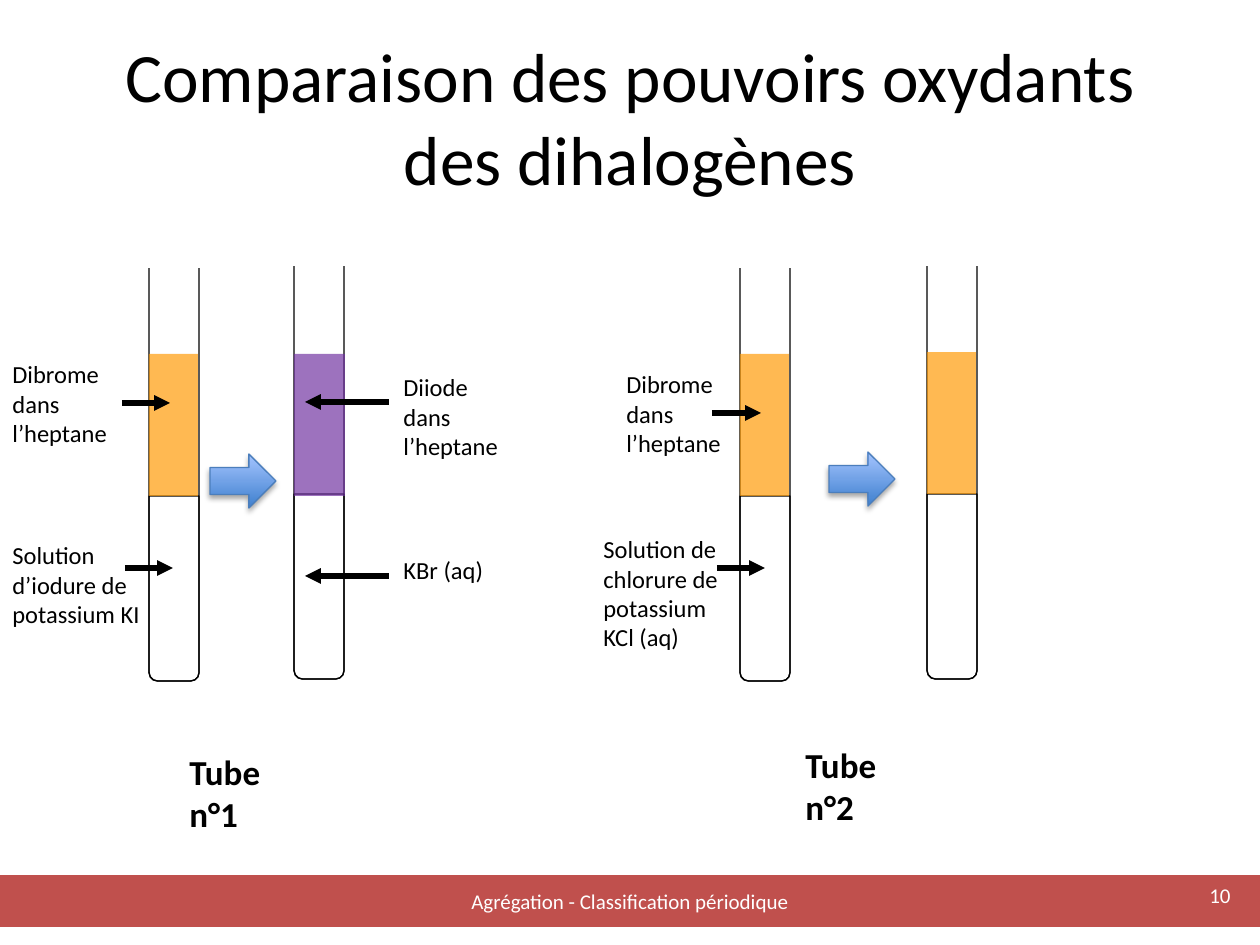
from dataclasses import dataclass

from lxml.etree import SubElement
from pptx import Presentation
from pptx.dml.color import RGBColor
from pptx.enum.shapes import MSO_CONNECTOR, MSO_SHAPE
from pptx.enum.text import MSO_ANCHOR, MSO_AUTO_SIZE, PP_ALIGN
from pptx.oxml.ns import qn
from pptx.util import Emu, Pt

PX_PER_INCH = 126


@dataclass(frozen=True)
class Theme:
    font: str = "Calibri"
    black: str = "000000"
    white: str = "FFFFFF"
    orange: str = "FF9900"
    violet: str = "7030A0"
    banner: str = "C0504D"
    arrow_dark: str = "3F80CE"
    arrow_light: str = "A4C4FF"
    arrow_edge: str = "4B7EBC"
    title_size: float = 39.6
    tube_name_size: int = 20
    label_size: int = 14
    footer_size: int = 12
    thin: float = 0.75
    thick: float = 3


THEME = Theme()


@dataclass(frozen=True)
class Tube:
    left: int
    top: int
    liquid_top: int
    liquid_width: int
    liquid_color: str


@dataclass(frozen=True)
class Label:
    text: str
    left: int
    top: int
    width: int
    height: int
    size: int = THEME.label_size
    bold: bool = False
    color: str = THEME.black
    wrap: bool = True


@dataclass(frozen=True)
class Pointer:
    start: int
    end: int
    y: int


TUBES = [
    Tube(149, 248, 354, 49, THEME.orange),
    Tube(294, 246, 354, 51, THEME.violet),
    Tube(740, 248, 354, 49, THEME.orange),
    Tube(927, 246, 352, 49, THEME.orange),
]
LABELS = [
    Label("Dibrome dans l’heptane", 0, 353, 122, 102),
    Label("Solution d’iodure de potassium KI", 0, 534, 166, 102),
    Label("Diiode dans l’heptane", 391, 366, 122, 102),
    Label("KBr (aq)", 391, 549, 122, 43),
    Label("Dibrome dans l’heptane", 614, 363, 125, 102),
    Label("Solution de chlorure de potassium KCl (aq)", 591, 528, 150, 131),
    Label("Tube n°1", 177, 744, 127, 97, THEME.tube_name_size, True),
    Label("Tube n°2", 793, 737, 127, 97, THEME.tube_name_size, True),
]
POINTERS = [
    Pointer(122, 170, 403),
    Pointer(125, 173, 568),
    Pointer(389, 305, 402),
    Pointer(389, 305, 576),
    Pointer(712, 761, 413),
    Pointer(717, 765, 568),
]
REACTION_ARROWS = [(210, 454), (829, 452)]


def px(length: int) -> Emu:
    return Emu(round(length * 914400 / PX_PER_INCH))


def rgb(color: str) -> RGBColor:
    return RGBColor.from_string(color)


def add_box(shapes, preset, left: int, top: int, width: int, height: int,
            fill: str | None = None, line: str | None = None):
    box = shapes.add_shape(preset, px(left), px(top), px(width), px(height))
    box.shadow.inherit = False
    if fill:
        box.fill.solid()
        box.fill.fore_color.rgb = rgb(fill)
    else:
        box.fill.background()
    if line:
        box.line.color.rgb = rgb(line)
        box.line.width = Pt(THEME.thin)
    else:
        box.line.fill.background()
    return box


def style(paragraph, size: float, color: str, bold: bool = False) -> None:
    font = paragraph.font
    font.name = THEME.font
    font.size = Pt(size)
    font.bold = bold
    font.color.rgb = rgb(color)


def draw_tube(shapes, tube: Tube) -> None:
    glass = shapes.add_group_shape().shapes
    # Whole tube, then its lower aqueous phase: both end at the same bottom
    for offset, height in ((0, 433), (248, 185)):
        outline = add_box(glass, MSO_SHAPE.ROUND_2_SAME_RECTANGLE, tube.left,
                          tube.top + offset, 50, height, line=THEME.black)
        outline.rotation = 180
    # White cover leaves the tube open at the top
    add_box(glass, MSO_SHAPE.RECTANGLE, tube.left - 25, tube.top - 12, 101, 31,
            THEME.white, THEME.white)
    liquid = add_box(shapes, MSO_SHAPE.RECTANGLE, tube.left, tube.liquid_top,
                     tube.liquid_width, 142, tube.liquid_color)
    color = liquid.fill._xPr.find(f"{qn('a:solidFill')}/{qn('a:srgbClr')}")
    SubElement(color, qn("a:alpha"), val="68000")


def draw_label(shapes, label: Label) -> None:
    box = shapes.add_textbox(px(label.left), px(label.top),
                             px(label.width), px(label.height))
    frame = box.text_frame
    frame.word_wrap = label.wrap
    frame.auto_size = MSO_AUTO_SIZE.SHAPE_TO_FIT_TEXT
    frame.text = label.text
    style(frame.paragraphs[0], label.size, label.color, label.bold)


def draw_pointer(shapes, pointer: Pointer) -> None:
    line = shapes.add_connector(MSO_CONNECTOR.STRAIGHT, px(pointer.start), px(pointer.y),
                                px(pointer.end), px(pointer.y))
    line.line.color.rgb = rgb(THEME.black)
    line.line.width = Pt(THEME.thick)
    SubElement(line.line._get_or_add_ln(), qn("a:tailEnd"), type="triangle")
    SubElement(line._element.spPr, qn("a:effectLst"))


def draw_reaction_arrow(shapes, left: int, top: int) -> None:
    arrow = add_box(shapes, MSO_SHAPE.RIGHT_ARROW, left, top, 66, 54, line=THEME.arrow_edge)
    arrow.fill.gradient()
    arrow.fill.gradient_angle = 90
    for stop, color in zip(arrow.fill.gradient_stops, (THEME.arrow_dark, THEME.arrow_light)):
        stop.color.rgb = rgb(color)
    effects = arrow._element.spPr.find(qn("a:effectLst"))
    shadow = SubElement(effects, qn("a:outerShdw"), blurRad=str(Pt(3.1)),
                        dist=str(Pt(1.8)), dir="5400000", rotWithShape="0")
    color = SubElement(shadow, qn("a:srgbClr"), val=THEME.black)
    SubElement(color, qn("a:alpha"), val="35000")


def draw_title(slide) -> None:
    title = slide.shapes.title
    title.left, title.top, title.width, title.height = px(63), px(37), px(1134), px(158)
    title.text_frame.text = "Comparaison des pouvoirs oxydants des dihalogènes"
    title.text_frame.vertical_anchor = MSO_ANCHOR.MIDDLE
    heading = title.text_frame.paragraphs[0]
    heading.alignment = PP_ALIGN.CENTER
    style(heading, THEME.title_size, THEME.black)


def draw_footer(shapes) -> None:
    banner = add_box(shapes, MSO_SHAPE.RECTANGLE, 0, 876, 1260, 50, THEME.banner, THEME.banner)
    banner.text_frame.text = "Agrégation - Classification périodique"
    banner.text_frame.vertical_anchor = MSO_ANCHOR.MIDDLE
    course = banner.text_frame.paragraphs[0]
    course.alignment = PP_ALIGN.CENTER
    style(course, THEME.footer_size, THEME.white)
    # Slide number, wide enough for two digits on one line
    draw_label(shapes, Label("10", 1197, 876, 50, 38, THEME.footer_size,
                             color=THEME.white, wrap=False))


def main() -> None:
    deck = Presentation()
    deck.slide_width, deck.slide_height = px(1260), px(945)
    slide = deck.slides.add_slide(deck.slide_layouts[5])
    shapes = slide.shapes

    draw_title(slide)
    # Test tubes before and after each reaction
    for tube in TUBES:
        draw_tube(shapes, tube)
    for left, top in REACTION_ARROWS:
        draw_reaction_arrow(shapes, left, top)
    # Names of the phases and of the tubes
    for label in LABELS:
        draw_label(shapes, label)
    for pointer in POINTERS:
        draw_pointer(shapes, pointer)
    draw_footer(shapes)

    deck.save("out.pptx")


if __name__ == "__main__":
    main()
